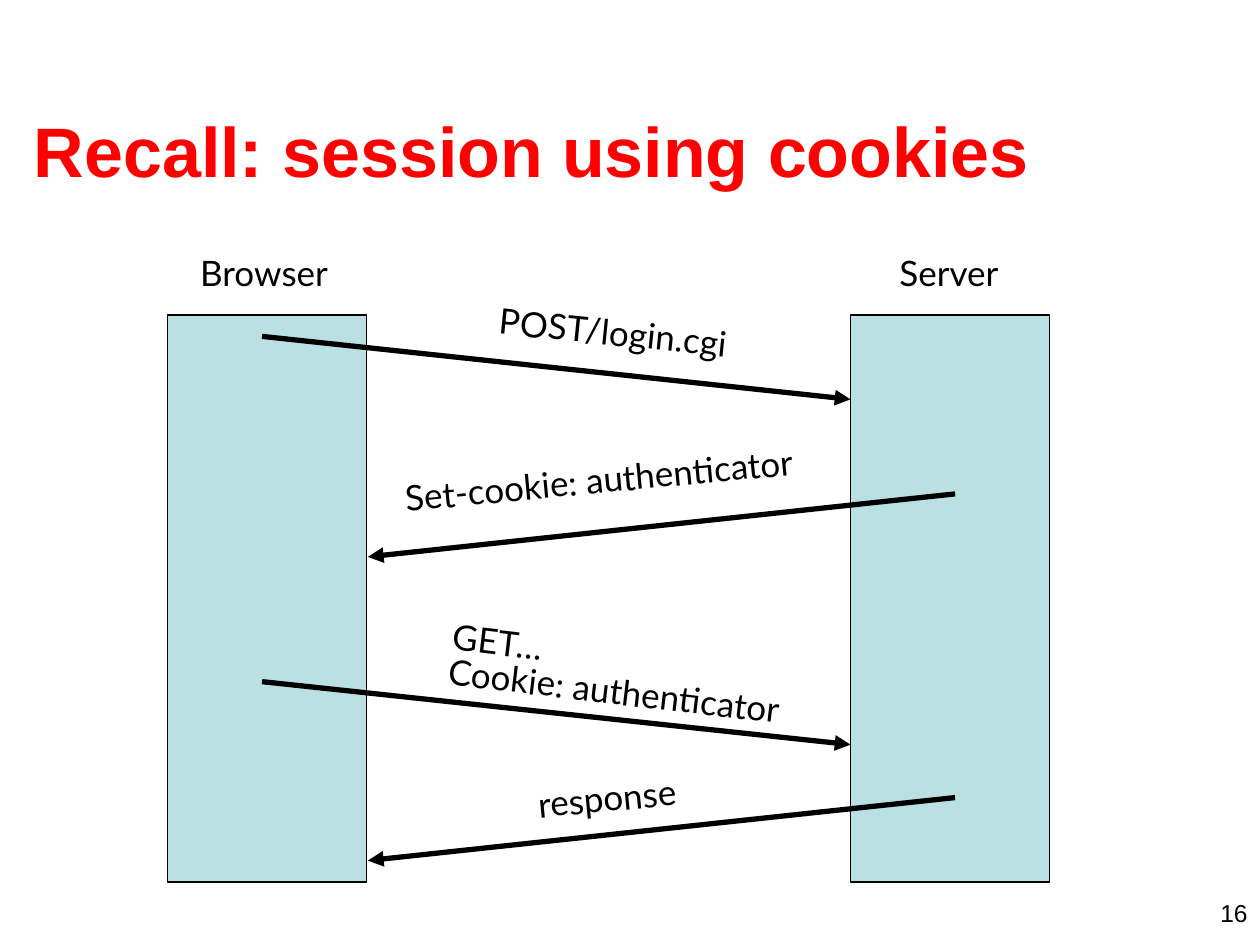
from pptx import Presentation
from pptx.dml.color import RGBColor
from pptx.enum import shapes, text
from pptx.oxml.ns import qn
from pptx.util import Inches, Pt
from lxml import etree

BLACK = RGBColor(0x00, 0x00, 0x00)
RED = RGBColor(0xFF, 0x00, 0x00)
PALE_TEAL = RGBColor(0xBB, 0xE0, 0xE3)

presentation = Presentation()
presentation.slide_width = Inches(10)
presentation.slide_height = Inches(7.5)
slide = presentation.slides.add_slide(presentation.slide_layouts[6])


def add_text(content, left, top, width, height, font="Lato", size=20, color=BLACK,
             bold=False, rotation=0, wrap=False, spacing=None,
             align=text.PP_ALIGN.LEFT, anchor=text.MSO_ANCHOR.TOP):
    box = slide.shapes.add_textbox(Inches(left), Inches(top), Inches(width), Inches(height))
    box.rotation = rotation
    frame = box.text_frame
    frame.word_wrap = wrap
    frame.vertical_anchor = anchor
    frame.text = content
    for paragraph in frame.paragraphs:
        paragraph.alignment = align
        paragraph.line_spacing = spacing
        paragraph.font.name = font
        paragraph.font.size = Pt(size)
        paragraph.font.bold = bold
        paragraph.font.color.rgb = color


add_text("Recall: session using cookies", 0.17, 0.32, 9.58, 1.25, font="Arial", size=40,
         color=RED, bold=True, wrap=True, anchor=text.MSO_ANCHOR.BOTTOM)

for left in (1.33, 6.75):
    bar = slide.shapes.add_shape(shapes.MSO_SHAPE.RECTANGLE,
                                 Inches(left), Inches(2.5), Inches(1.58), Inches(4.5))
    bar.shadow.inherit = False
    bar.fill.solid()
    bar.fill.fore_color.rgb = PALE_TEAL
    bar.line.color.rgb = BLACK
    bar.line.width = Pt(0.75)

add_text("Browser", 1.49, 1.95, 1.29, 0.44)
add_text("Server", 7.04, 1.95, 1.04, 0.44)

REQUEST = (2.08, 6.75)
RESPONSE = (7.58, 2.92)
for (start, end), top in ((REQUEST, 2.67), (RESPONSE, 3.92), (REQUEST, 5.41), (RESPONSE, 6.33)):
    arrow = slide.shapes.add_connector(shapes.MSO_CONNECTOR.STRAIGHT, Inches(start),
                                       Inches(top), Inches(end), Inches(top + 0.5))
    arrow.line.color.rgb = BLACK
    arrow.line.width = Pt(3)
    etree.SubElement(arrow.line._get_or_add_ln(), qn("a:tailEnd"), type="triangle")
    etree.SubElement(arrow._element.spPr, qn("a:effectLst"))

add_text("POST/login.cgi", 3.86, 2.42, 2.1, 0.44, rotation=5.8)
add_text("Set-cookie: authenticator", 3.11, 3.58, 3.47, 0.44, rotation=354.6)
add_text("GET…\nCookie: authenticator", 3.45, 5.04, 2.86, 0.94, rotation=6.7,
         wrap=True, spacing=Pt(20))
add_text("response", 4.17, 6.11, 1.4, 0.44, rotation=354.6)

add_text("16", 7.67, 7.08, 2.33, 0.25, font="Arial", size=14, wrap=True,
         align=text.PP_ALIGN.RIGHT)

presentation.save("out.pptx")
